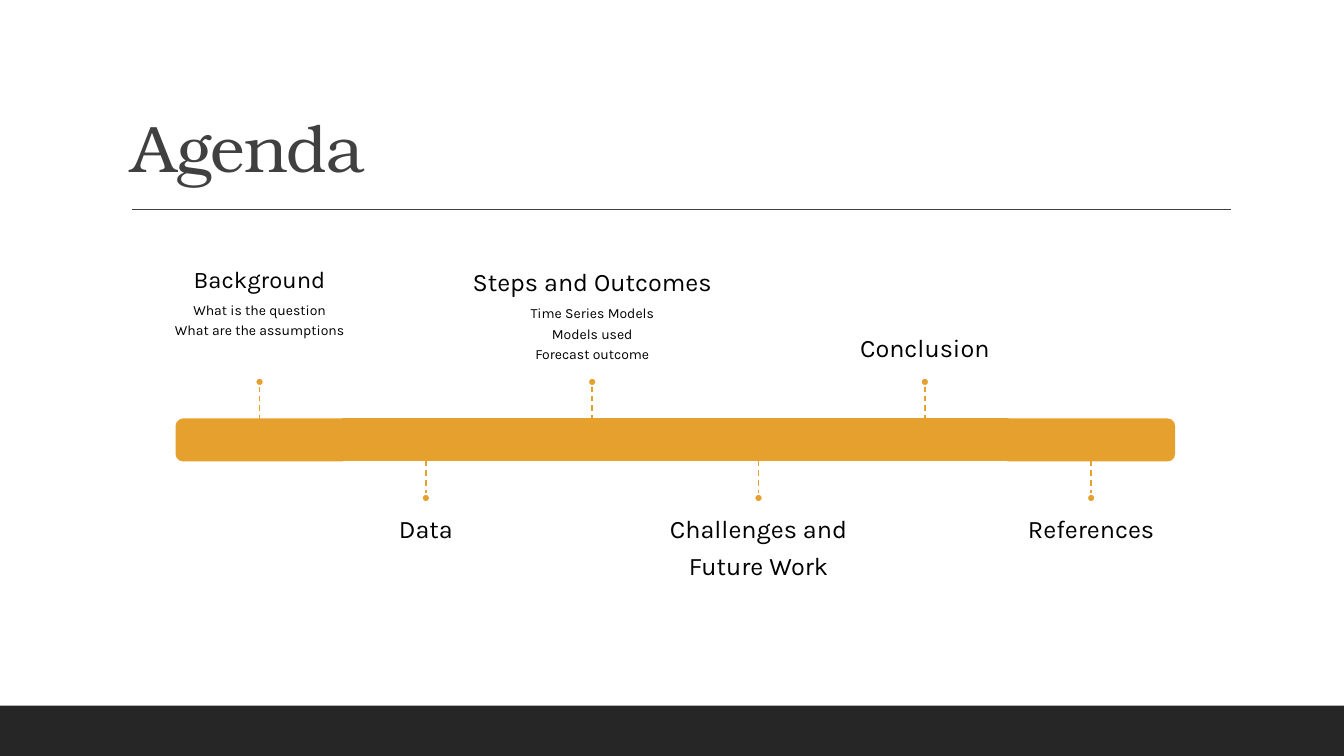
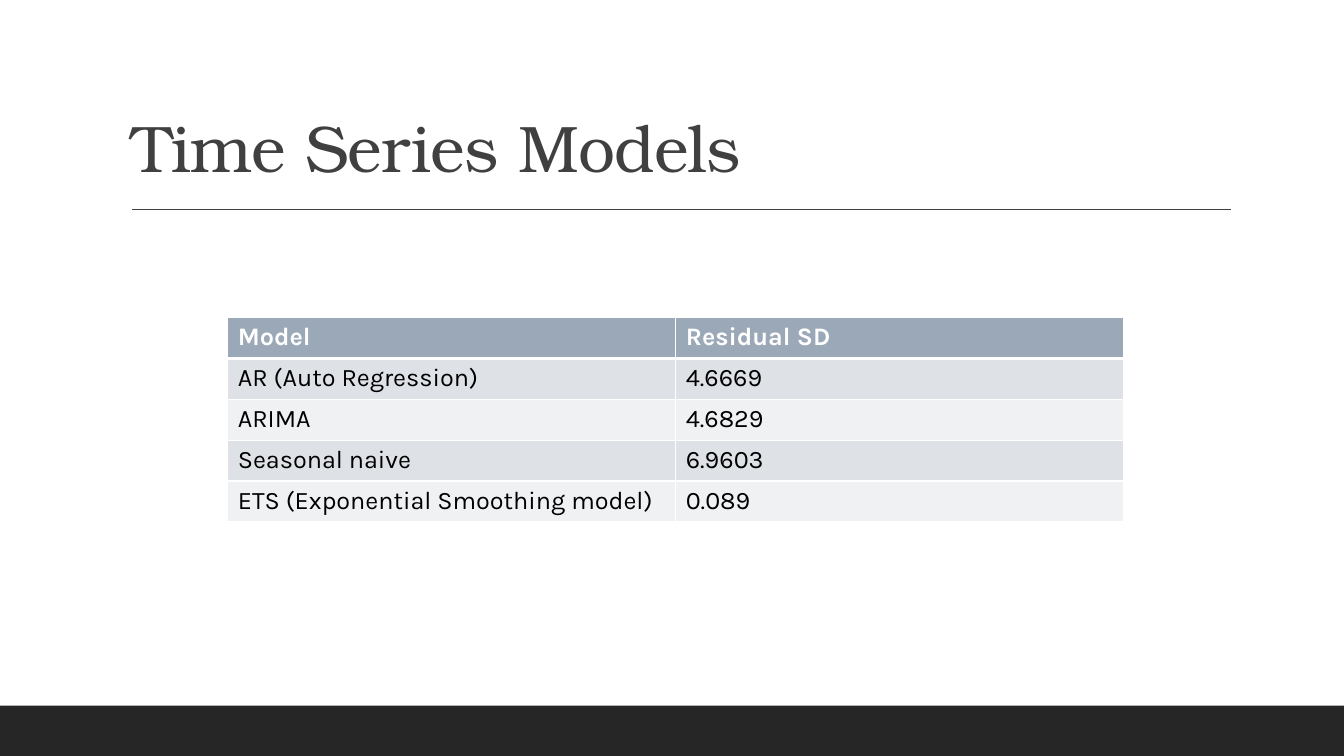
from lxml.etree import SubElement
from pptx import Presentation
from pptx.dml.color import RGBColor
from pptx.enum.dml import MSO_LINE
from pptx.enum.shapes import MSO_CONNECTOR, MSO_SHAPE as SHAPE
from pptx.enum.text import MSO_ANCHOR as ANCHOR, MSO_AUTO_SIZE, PP_ALIGN as ALIGN
from pptx.oxml import parse_xml
from pptx.oxml.ns import nsdecls, qn
from pptx.util import Pt

WIDTH, HEIGHT = 960, 540
DARK, GREY, ORANGE, WHITE, BLACK = "262626", "404040", "E6A02E", "FFFFFF", "000000"
HEADER, BANDS = "9BA8B7", ("DEE1E6", "EFF1F3")
TITLE_FONT, BODY_FONT = "TeX Gyre Bonum", "Karla"
TITLE_LEFT, TITLE_BOTTOM = 86.4, 136.8

BAR_LEFT, BAR_TOP, BAR_H, STEP = 126, 299.5, 29.5, 118.8
STEM, DOT = 23.8, 5.8
LABEL_W, LABEL_H = 198, 103.7

AGENDA = [
    ([("Background", 17), ("What is the question", 10),
      ("What are the assumptions", 10)], 28),
    ([("Data", 18)], 10.8),
    ([("Steps and Outcomes", 18), ("Time Series Models", 10),
      ("Models used", 10), ("Forecast outcome", 10)], 10.8),
    ([("Challenges and", 18), ("Future Work", 18)], 10.8),
    ([("Conclusion", 18)], 10.8),
    ([("References", 18)], 10.8),
]

MODELS = [
    ("Model", "Residual SD"),
    ("AR (Auto Regression)", "4.6669"),
    ("ARIMA", "4.6829"),
    ("Seasonal naive", "6.9603"),
    ("ETS (Exponential Smoothing model)", "0.089"),
]


def rgb(value):
    return RGBColor.from_string(value)


def write(p, text, size=18, font=BODY_FONT, color=BLACK, bold=False,
          align=ALIGN.LEFT, spacing=1.0, after=0, tracking=0):
    p.alignment, p.line_spacing = align, spacing
    p.space_before, p.space_after = Pt(0), Pt(after)
    r = p.add_run()
    r.text = text
    r.font.size, r.font.name, r.font.bold = Pt(size), font, bold
    r.font.color.rgb = rgb(color)
    if tracking:
        r.font._element.set("spc", str(int(tracking * 100)))


def add_box(s, kind, left, top, width, height, fill, line=None, rotation=0):
    sp = s.shapes.add_shape(kind, Pt(left), Pt(top), Pt(width), Pt(height))
    sp.shadow.inherit = False
    sp.rotation = rotation
    sp.fill.solid()
    sp.fill.fore_color.rgb = rgb(fill)
    if line:
        sp.line.color.rgb = rgb(line)
        sp.line.width = Pt(1.25)
    else:
        sp.line.fill.background()
    return sp


def add_line(s, x1, y1, x2, y2, color, dash=None):
    sp = s.shapes.add_connector(MSO_CONNECTOR.STRAIGHT, Pt(x1), Pt(y1), Pt(x2), Pt(y2))
    sp.line.color.rgb = rgb(color)
    sp.line.width = Pt(1)
    if dash:
        sp.line.dash_style = dash
    SubElement(sp.element.spPr, qn("a:effectLst"))
    return sp


def add_label(s, lines, center, top, anchor, inset):
    sp = s.shapes.add_textbox(Pt(center - LABEL_W / 2), Pt(top), Pt(LABEL_W), Pt(LABEL_H))
    tf = sp.text_frame
    tf.word_wrap = True
    tf.vertical_anchor = anchor
    above = anchor == ANCHOR.BOTTOM
    tf.margin_left = tf.margin_right = Pt(0)
    tf.margin_top = Pt(0 if above else inset)
    tf.margin_bottom = Pt(inset if above else 0)
    for i, (text, size) in enumerate(lines):
        p = tf.add_paragraph() if i else tf.paragraphs[0]
        write(p, text, size, align=ALIGN.CENTER, spacing=0.9, after=size * 0.38)


def add_titled_slide(prs, layout, title, top, width):
    s = prs.slides.add_slide(layout)
    sp = s.shapes.title
    sp.left, sp.top = Pt(TITLE_LEFT), Pt(top)
    sp.width, sp.height = Pt(width), Pt(TITLE_BOTTOM - top)
    tf = sp.text_frame
    tf.word_wrap, tf.auto_size = True, MSO_AUTO_SIZE.NONE
    tf.vertical_anchor = ANCHOR.BOTTOM
    write(tf.paragraphs[0], title, 47, TITLE_FONT, GREY, spacing=0.9, tracking=-0.5)
    return s


def decorate_layout(layout, s):
    band = add_box(s, SHAPE.RECTANGLE, 0, 504, WIDTH, HEIGHT - 504, DARK)
    rule = add_line(s, 94.3, 149.6, 879, 149.6, GREY)
    for number, sp in enumerate((band, rule), 20):
        sp.element.xpath(".//p:cNvPr")[0].set("id", str(number))
        layout.shapes.element.append(sp.element)


def add_segment(s, center, rotation):
    if rotation:
        top = BAR_TOP + (BAR_H - STEP) / 2
        add_box(s, SHAPE.ROUND_2_SAME_RECTANGLE, center - BAR_H / 2, top,
                BAR_H, STEP, ORANGE, ORANGE, rotation)
    else:
        add_box(s, SHAPE.RECTANGLE, center - STEP / 2, BAR_TOP, STEP, BAR_H, ORANGE, ORANGE)


def add_milestone(s, lines, inset, center, above):
    direction = -1 if above else 1
    start = BAR_TOP if above else BAR_TOP + BAR_H
    stem_end = start + direction * STEM
    dot_end = stem_end + direction * DOT
    top = dot_end - LABEL_H if above else dot_end
    add_label(s, lines, center, top, ANCHOR.BOTTOM if above else ANCHOR.TOP, inset)
    add_line(s, center, min(start, stem_end), center, max(start, stem_end),
             ORANGE, MSO_LINE.DASH)
    add_box(s, SHAPE.OVAL, center - DOT / 2, min(stem_end, dot_end), DOT, DOT, ORANGE, WHITE)


def add_timeline(s, items):
    rotations = {0: 270, len(items) - 1: 90}
    for i, (lines, inset) in enumerate(items):
        center = BAR_LEFT + STEP * (i + 0.5)
        add_segment(s, center, rotations.get(i, 0))
        add_milestone(s, lines, inset, center, above=i % 2 == 0)


def set_borders(cell, **widths):
    tcPr = cell._tc.get_or_add_tcPr()
    for i, (side, width) in enumerate(widths.items()):
        tcPr.insert(i, parse_xml(
            f'<a:ln{side} {nsdecls("a")} w="{Pt(width)}"><a:solidFill>'
            f'<a:srgbClr val="{WHITE}"/></a:solidFill></a:ln{side}>'))


def add_model_table(s, rows, left, top, width, row_h):
    shape = s.shapes.add_table(len(rows), len(rows[0]), Pt(left), Pt(top),
                               Pt(width), Pt(row_h * len(rows)))
    table = shape.table
    table.horz_banding = False
    for i, row in enumerate(rows):
        head = i == 0
        for j, text in enumerate(row):
            cell = table.cell(i, j)
            cell.fill.solid()
            cell.fill.fore_color.rgb = rgb(HEADER if head else BANDS[(i - 1) % 2])
            write(cell.text_frame.paragraphs[0], text,
                  color=WHITE if head else BLACK, bold=head)
            set_borders(cell, L=1, R=1, T=3 if i == 1 else 1, B=3 if head else 1)


def main():
    prs = Presentation()
    prs.slide_width, prs.slide_height = Pt(WIDTH), Pt(HEIGHT)
    layout = prs.slide_layouts[5]

    agenda = add_titled_slide(prs, layout, "Agenda", 44.6, 541.4)
    decorate_layout(layout, agenda)
    add_timeline(agenda, AGENDA)

    models = add_titled_slide(prs, layout, "Time Series Models", 22.3, 792)
    add_model_table(models, MODELS, 162.7, 226.8, 640, 29.2)

    prs.save("out.pptx")


if __name__ == "__main__":
    main()
